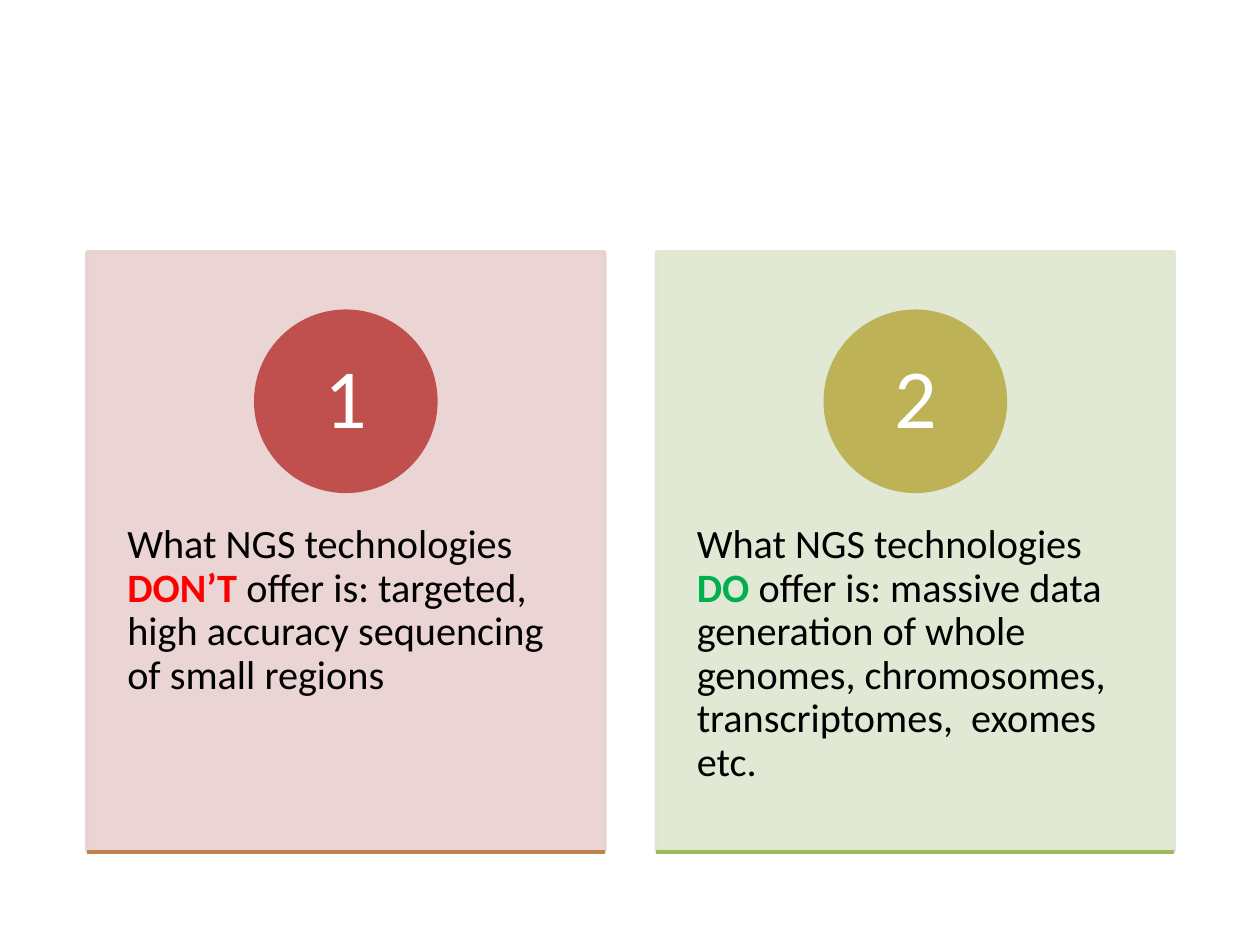
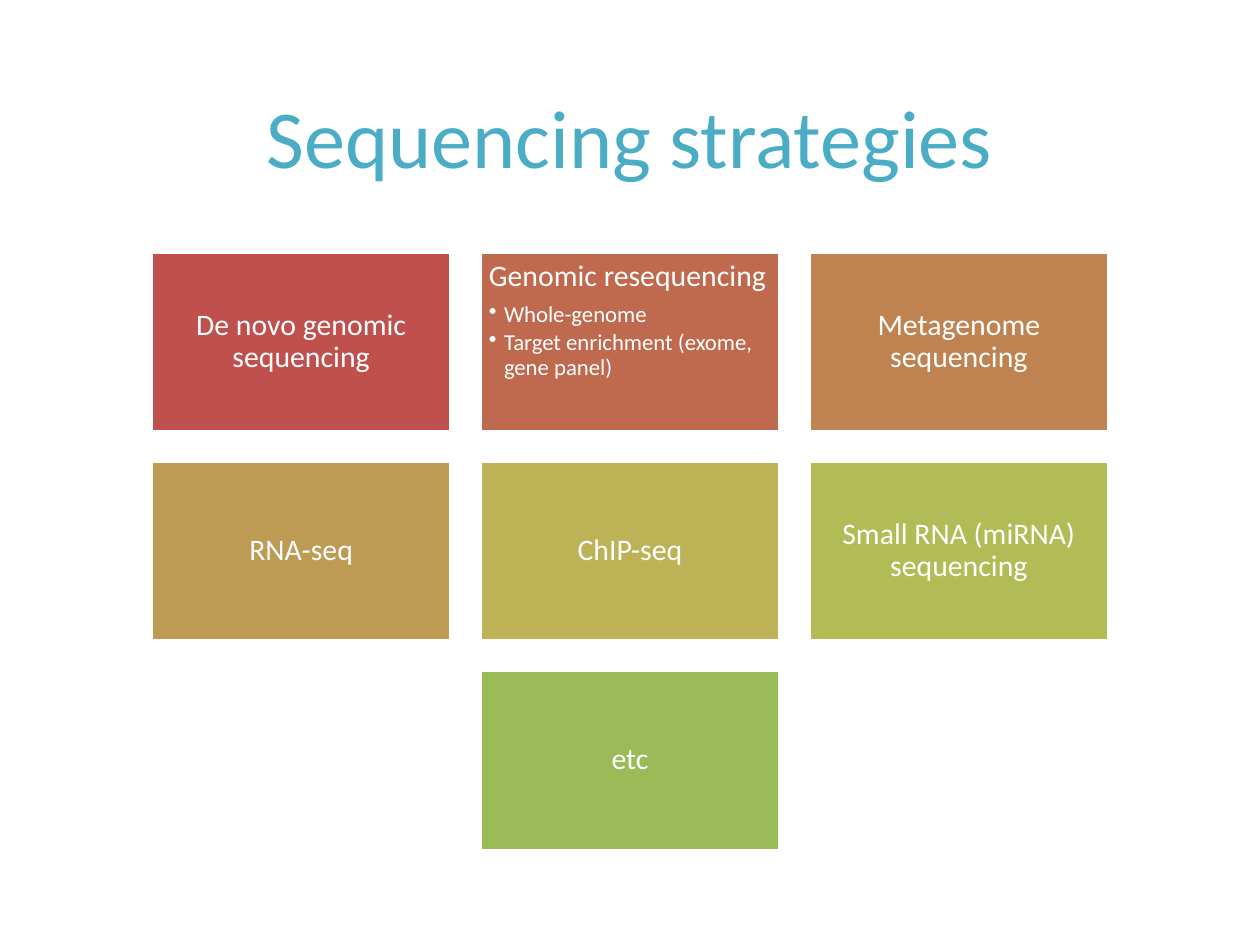
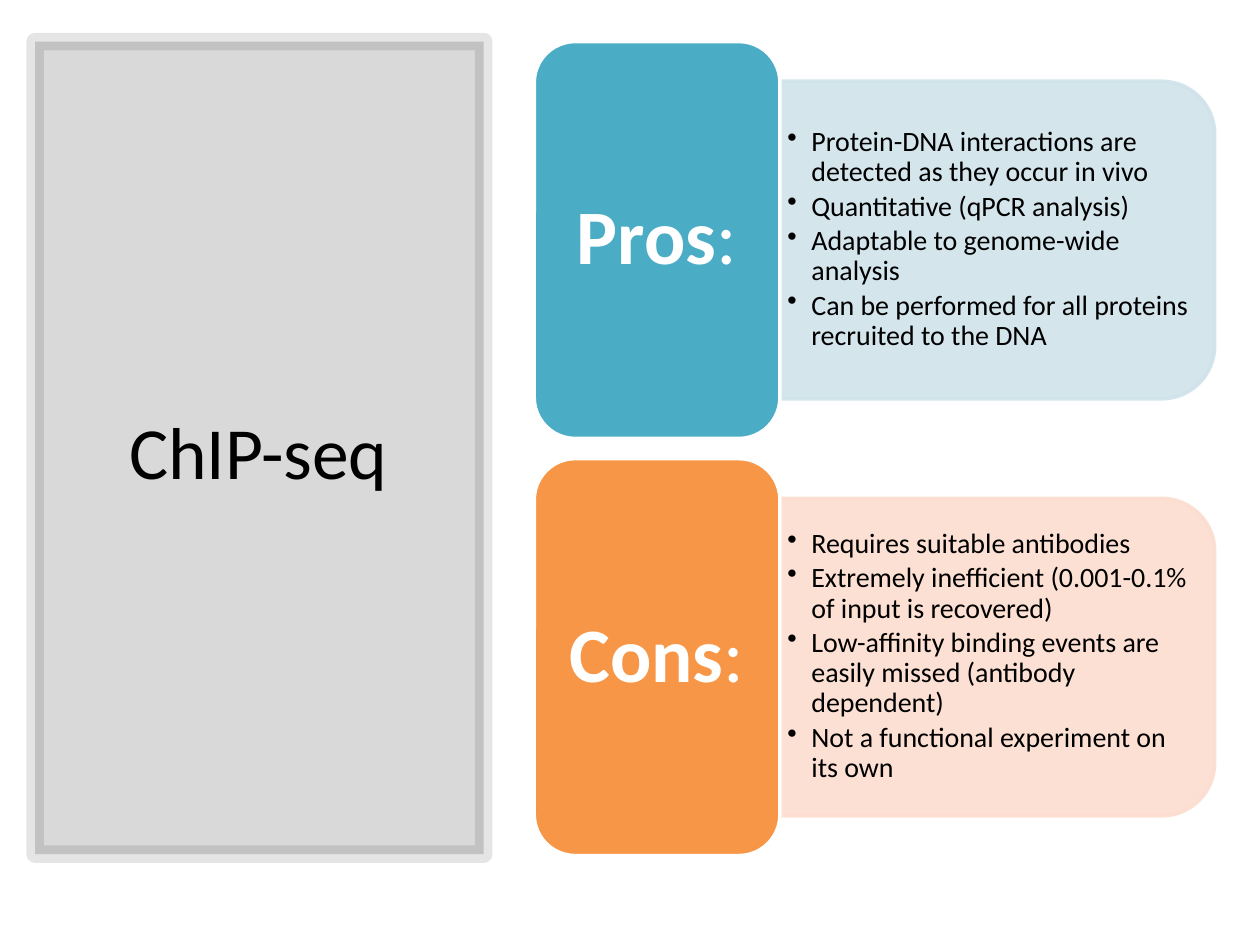
import pptx
import pptx.util
import pptx.dml.color
import pptx.enum.shapes
import pptx.enum.text
import pptx.oxml
import pptx.oxml.ns
from lxml import etree

Inches = pptx.util.Inches
Pt = pptx.util.Pt
RGBColor = pptx.dml.color.RGBColor
SHAPE = pptx.enum.shapes.MSO_SHAPE
ALIGN = pptx.enum.text.PP_ALIGN
ANCHOR = pptx.enum.text.MSO_ANCHOR
qn = pptx.oxml.ns.qn

FONT = "Calibri"
BLACK = RGBColor(0x00, 0x00, 0x00)
WHITE = RGBColor(0xFF, 0xFF, 0xFF)
RED = RGBColor(0xFF, 0x00, 0x00)
GREEN = RGBColor(0x00, 0xB0, 0x50)
BRICK = RGBColor(0xC0, 0x50, 0x4D)
RUST = RGBColor(0xBF, 0x6A, 0x4F)
COPPER = RGBColor(0xBE, 0x83, 0x51)
OCHRE = RGBColor(0xBD, 0x9B, 0x53)
KHAKI = RGBColor(0xBD, 0xB2, 0x55)
LIME = RGBColor(0xB1, 0xBC, 0x57)
LEAF = RGBColor(0x9B, 0xBB, 0x59)
TEAL = RGBColor(0x4B, 0xAC, 0xC6)
ORANGE = RGBColor(0xF7, 0x96, 0x46)
PALE_RED = RGBColor(0xE8, 0xD0, 0xD0)
PALE_GREEN = RGBColor(0xDE, 0xE7, 0xD1)
PALE_BLUE = RGBColor(0xD0, 0xE3, 0xEA)
PALE_ORANGE = RGBColor(0xFC, 0xDD, 0xCF)


def add_box(slide, kind, left, top, width, height, fill, line,
            line_width=2, fill_alpha=100, line_alpha=100):
    shape = slide.shapes.add_shape(
        kind, Inches(left), Inches(top), Inches(width), Inches(height))
    shape.shadow.inherit = False
    shape.fill.solid()
    shape.fill.fore_color.rgb = fill
    shape.line.color.rgb = line
    shape.line.width = Pt(line_width)
    colours = shape.element.spPr.iter(qn("a:srgbClr"))
    for colour, alpha in zip(list(colours), (fill_alpha, line_alpha)):
        if alpha < 100:
            etree.SubElement(colour, qn("a:alpha"), val=str(alpha * 1000))
    return shape


def add_text_box(slide, left, top, width, height):
    return slide.shapes.add_textbox(
        Inches(left), Inches(top), Inches(width), Inches(height))


def set_frame(shape, anchor, horizontal, vertical):
    frame = shape.text_frame
    frame.word_wrap = True
    frame.vertical_anchor = anchor
    frame.margin_left = frame.margin_right = Inches(horizontal)
    frame.margin_top = frame.margin_bottom = Inches(vertical)
    return frame


def format_span(span, size, colour, bold=False):
    span.font.name = FONT
    span.font.size = Pt(size)
    span.font.color.rgb = colour
    span.font.bold = bold


def write(para, spans, size, align=ALIGN.LEFT, after=0.35, spacing=0.9):
    para.alignment = align
    para.line_spacing = spacing
    para.space_after = Pt(round(size * after, 1))
    for text, colour, bold in spans:
        span = para.add_run()
        span.text = text
        format_span(span, size, colour, bold)


def write_bullet(para, text, size, colour, indent):
    properties = para._p.get_or_add_pPr()
    properties.set("marL", str(Inches(indent)))
    properties.set("indent", str(-Inches(indent)))
    etree.SubElement(properties, qn("a:buChar"), char="•")
    write(para, [(text, colour, False)], size, after=0.15)


def add_title(slide, text, left, top, width, height, size, colour):
    frame = set_frame(add_text_box(slide, left, top, width, height),
                      ANCHOR.MIDDLE, 0.1, 0.05)
    write(frame.paragraphs[0], [(text, colour, False)], size,
          ALIGN.CENTER, after=0, spacing=1)


def add_offer_card(slide, left, top, number, spans, pale, accent, rule_colour):
    width, height, circle = 4.11, 4.76, 1.43
    add_box(slide, SHAPE.RECTANGLE, left, top, width, height, pale, pale,
            fill_alpha=90, line_alpha=90)
    body = add_text_box(slide, left, top + 1.8, width, 2.86)
    write(set_frame(body, ANCHOR.TOP, 0.32, 0.36).paragraphs[0], spans, 23)
    badge = add_box(slide, SHAPE.OVAL, left + (width - circle) / 2, top + 0.47,
                    circle, circle, accent, accent)
    write(set_frame(badge, ANCHOR.MIDDLE, 0.11, 0.01).paragraphs[0],
          [(number, WHITE, False)], 48, ALIGN.CENTER)
    rule = slide.shapes.add_connector(
        pptx.enum.shapes.MSO_CONNECTOR.STRAIGHT, Inches(left),
        Inches(top + height), Inches(left + width), Inches(top + height))
    rule.line.color.rgb = rule_colour
    rule.line.width = Pt(2)
    etree.SubElement(rule.element.spPr, qn("a:effectLst"))


def build_offers(slide):
    intro = ("What NGS technologies ", BLACK, False)
    add_offer_card(slide, 0.69, 2, "1", [
        intro, ("DON’T", RED, True),
        (" offer is: targeted, high accuracy sequencing of small regions",
         BLACK, False)], PALE_RED, BRICK, COPPER)
    add_offer_card(slide, 5.21, 2, "2", [
        intro, ("DO", GREEN, True),
        (" offer is: massive data generation of whole genomes, chromosomes, "
         "transcriptomes,  exomes etc.", BLACK, False)],
        PALE_GREEN, KHAKI, LEAF)


def add_strategy_tile(slide, left, top, width, height, label, details, fill):
    tile = add_box(slide, SHAPE.RECTANGLE, left, top, width, height, fill, WHITE)
    frame = set_frame(tile, ANCHOR.TOP if details else ANCHOR.MIDDLE, 0.07, 0.07)
    write(frame.paragraphs[0], [(label, WHITE, False)], 17,
          ALIGN.LEFT if details else ALIGN.CENTER)
    for detail in details:
        write_bullet(frame.add_paragraph(), detail, 13, WHITE, 0.12)


def build_strategies(slide):
    add_title(slide, "Sequencing strategies", 0.32, 0.35, 9.36, 1.45, 47, TEAL)
    strategies = [
        (0, 0, "De novo genomic sequencing", [], BRICK),
        (0, 1, "Genomic resequencing",
         ["Whole-genome", "Target enrichment (exome, gene panel)"], RUST),
        (0, 2, "Metagenome sequencing", [], COPPER),
        (1, 0, "RNA-seq", [], OCHRE),
        (1, 1, "ChIP-seq", [], KHAKI),
        (1, 2, "Small RNA (miRNA) sequencing", [], LIME),
        (2, 1, "etc", [], LEAF),
    ]
    left, top, width, height, gap = 1.2, 2, 2.38, 1.43, 0.23
    for row, column, label, details, fill in strategies:
        add_strategy_tile(slide, left + column * (width + gap),
                          top + row * (height + gap), width, height,
                          label, details, fill)


def add_verdict(slide, left, top, label, points, fill, pale):
    label_width, label_height = 1.95, 3.15
    panel_width, panel_height = 3.46, 2.52
    panel_left = left + label_width - 0.01
    panel_top = top + (label_height - panel_height) / 2
    shift = (panel_width - panel_height) / 2
    panel = add_box(slide, SHAPE.ROUND_2_SAME_RECTANGLE, panel_left + shift,
                    panel_top - shift, panel_height, panel_width, pale, pale,
                    fill_alpha=90, line_alpha=90)
    panel.rotation = 90
    body = add_text_box(slide, panel_left, panel_top + 0.12, 3.34, 2.27)
    frame = set_frame(body, ANCHOR.MIDDLE, 0.07, 0.03)
    for index, point in enumerate(points):
        para = frame.add_paragraph() if index else frame.paragraphs[0]
        write_bullet(para, point, 16, BLACK, 0.19)
    heading = add_box(slide, SHAPE.ROUNDED_RECTANGLE, left, top,
                      label_width, label_height, fill, WHITE)
    write(set_frame(heading, ANCHOR.MIDDLE, 0.18, 0.09).paragraphs[0],
          [(label, WHITE, True), (":", WHITE, False)], 44, ALIGN.CENTER)


def build_chip_seq(slide):
    add_box(slide, SHAPE.RECTANGLE, 0.28, 0.33, 3.56, 6.45, BLACK, BLACK,
            line_width=10, fill_alpha=15, line_alpha=10)
    add_title(slide, "ChIP-seq", 0.49, 0.7, 3.12, 5.75, 42, BLACK)
    add_verdict(slide, 4.24, 0.33, "Pros", [
        "Protein-DNA interactions are detected as they occur in vivo",
        "Quantitative (qPCR analysis)",
        "Adaptable to genome-wide analysis",
        "Can be performed for all proteins recruited to the DNA",
    ], TEAL, PALE_BLUE)
    add_verdict(slide, 4.24, 3.64, "Cons", [
        "Requires suitable antibodies",
        "Extremely inefficient (0.001-0.1% of input is recovered)",
        "Low-affinity binding events are easily missed (antibody dependent)",
        "Not a functional experiment on its own",
    ], ORANGE, PALE_ORANGE)


def main():
    deck = pptx.Presentation()
    deck.slide_width = Inches(10)
    deck.slide_height = Inches(7.5)
    for build in (build_offers, build_strategies, build_chip_seq):
        build(deck.slides.add_slide(deck.slide_layouts[6]))
    deck.save("out.pptx")


if __name__ == "__main__":
    main()
